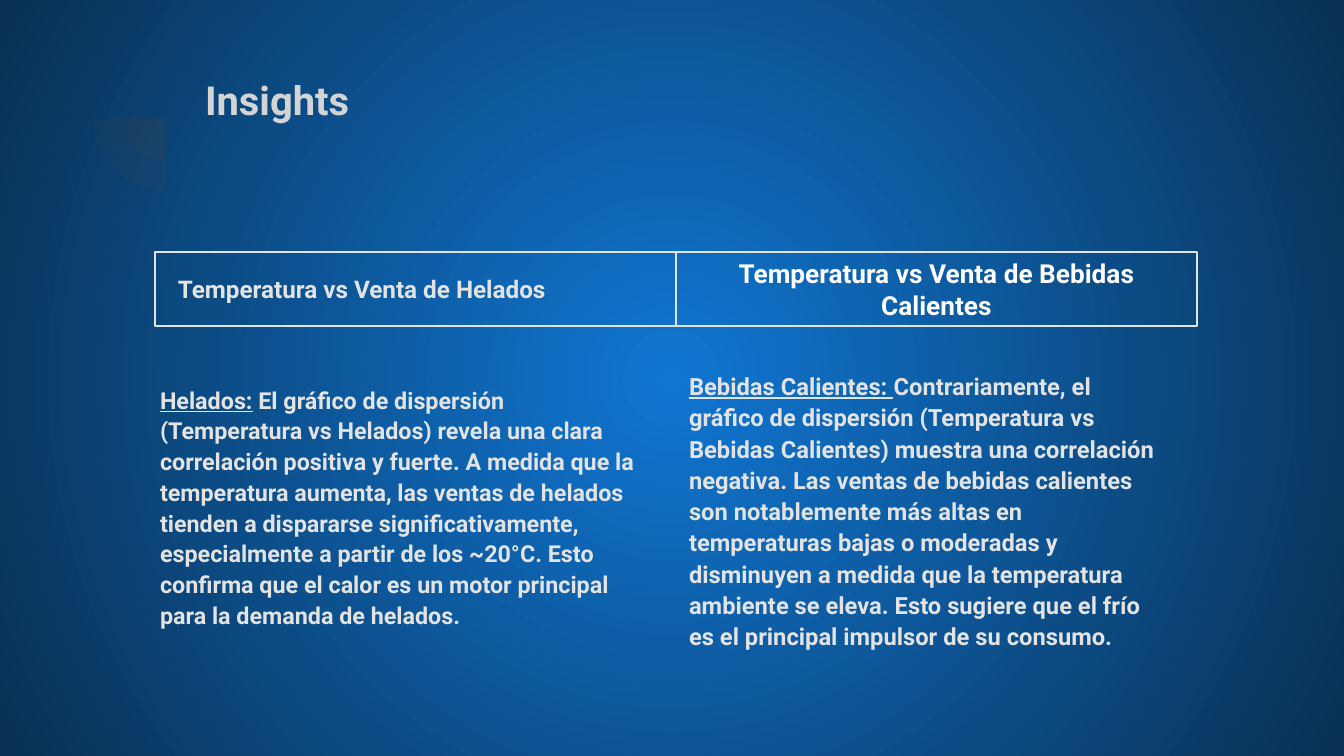
from lxml.etree import SubElement
from pptx import Presentation
from pptx.dml.color import RGBColor
from pptx.enum.shapes import MSO_SHAPE as Shape
from pptx.enum.text import MSO_ANCHOR as Anchor, MSO_AUTO_SIZE as AutoSize, PP_ALIGN as Align
from pptx.oxml.ns import qn
from pptx.util import Emu, Pt

EMU_PER_PX = 914400 / 134.4
INSET = 13
PALE = "E3E3E3"

ICE_CREAM = (
    " El gráfico de dispersión (Temperatura vs Helados) revela una clara correlación "
    "positiva y fuerte. A medida que la temperatura aumenta, las ventas de helados tienden "
    "a dispararse significativamente, especialmente a partir de los ~20°C. Esto confirma "
    "que el calor es un motor principal para la demanda de helados."
)
HOT_DRINKS = (
    "Contrariamente, el gráfico de dispersión (Temperatura vs Bebidas Calientes) muestra "
    "una correlación negativa. Las ventas de bebidas calientes son notablemente más altas "
    "en temperaturas bajas o moderadas y disminuyen a medida que la temperatura ambiente "
    "se eleva. Esto sugiere que el frío es el principal impulsor de su consumo."
)


def px(length):
    return Emu(round(length * EMU_PER_PX))


def color(value):
    return RGBColor.from_string(value)


def apply(target, values):
    for name, value in values.items():
        setattr(target, name, value)


def place(shape, *box):
    apply(shape, dict(zip(("left", "top", "width", "height"), map(px, box))))


def write(shape, spans, size, ink, spacing=1.0, align=Align.LEFT,
          anchor=Anchor.TOP, top_inset=INSET):
    """Fill a shape with one paragraph of (text, underlined) spans."""
    frame = shape.text_frame
    apply(frame, {
        "word_wrap": True, "auto_size": AutoSize.NONE, "vertical_anchor": anchor,
        "margin_left": px(INSET), "margin_right": px(INSET),
        "margin_top": px(top_inset), "margin_bottom": px(INSET),
    })
    para = frame.paragraphs[0]
    apply(para, {"alignment": align, "line_spacing": spacing, "space_before": Pt(0)})
    for text, underlined in spans:
        span = para.add_run()
        span.text = text
        apply(span.font, {"name": "Roboto", "size": Pt(size), "bold": True,
                          "underline": underlined})
        span.font.color.rgb = color(ink)


def paint_background(page, center, edge):
    fill = page.background.fill
    fill.gradient()
    for stop, value, position in zip(fill.gradient_stops, (center, edge), (0, 1)):
        stop.color.rgb = color(value)
        stop.position = position
    gradient = next(page.element.iter(qn("a:gradFill")))
    gradient.remove(gradient.find(qn("a:lin")))
    circle = SubElement(gradient, qn("a:path"), {"path": "circle"})
    SubElement(circle, qn("a:fillToRect"), dict.fromkeys("ltrb", "50000"))


def add_quarter(page, left, top, size):
    quarter = page.shapes.add_shape(Shape.PIE, *map(px, (left, top, size, size)))
    quarter.adjustments[0] = 107.93
    quarter.adjustments[1] = 162
    quarter.rotation = 270
    quarter.shadow.inherit = False
    quarter.line.fill.background()
    quarter.fill.solid()
    quarter.fill.fore_color.rgb = color("424242")
    tone = quarter.fill._xPr.find(qn("a:solidFill"))[0]
    SubElement(tone, qn("a:alpha"), {"val": "13000"})


def add_frame(page, *box):
    frame = page.shapes.add_shape(Shape.RECTANGLE, *map(px, box))
    frame.shadow.inherit = False
    frame.fill.background()
    frame.line.color.rgb = color(PALE)
    frame.line.width = Pt(0.75)
    return frame


def add_text(page, box, spans, size, **options):
    shape = page.shapes.add_textbox(*map(px, box))
    write(shape, spans, size, PALE, **options)
    return shape


def main():
    deck = Presentation()
    deck.slide_width, deck.slide_height = px(1344), px(756)
    page = deck.slides.add_slide(deck.slide_layouts[5])
    paint_background(page, "1076D2", "093053")

    # Corner ornament: concentric quarters
    for radius in (44, 73):
        add_quarter(page, 166 - radius, 118 - radius, 2 * radius)

    # Title
    title = page.shapes.title
    place(title, 192, 47, 1034, 90)
    write(title, [("Insights", False)], 21.4, "D4D4D4", spacing=1.3, anchor=Anchor.MIDDLE)

    # Explanations
    add_text(page, (147, 339, 504, 325), [("Helados:", True), (ICE_CREAM, False)],
             12.5, spacing=1.1, top_inset=44)
    add_text(page, (676, 317, 504, 347),
             [("Bebidas Calientes: ", True), (HOT_DRINKS, False)],
             12.7, spacing=1.1, top_inset=52)

    # Column headings
    add_text(page, (165, 261, 437, 56), [("Temperatura vs Venta de Helados", False)], 13)
    left_frame, right_frame = (add_frame(page, 155 + 521 * column, 252, 521, 74)
                               for column in range(2))
    write(right_frame, [("Temperatura vs Venta de Bebidas Calientes", False)], 14, "FFFFFF",
          align=Align.CENTER, anchor=Anchor.MIDDLE)

    deck.save("out.pptx")


if __name__ == "__main__":
    main()
